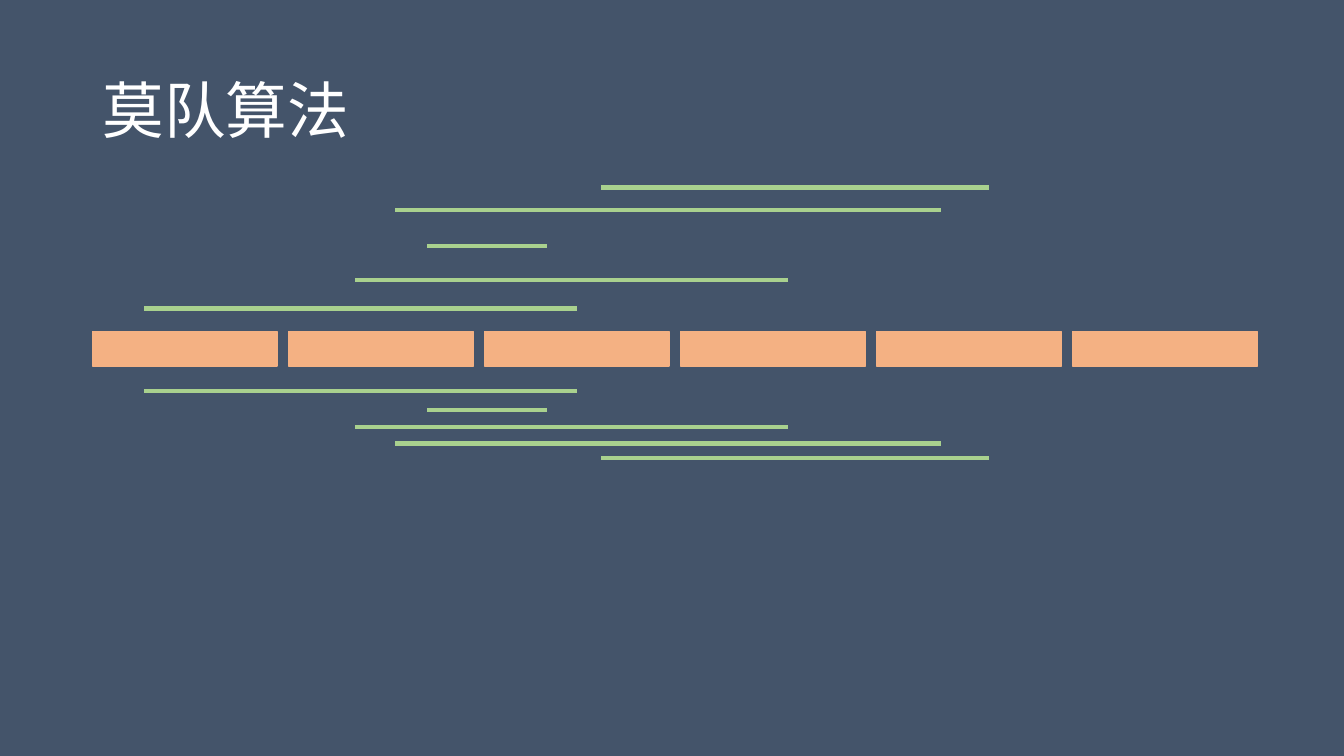
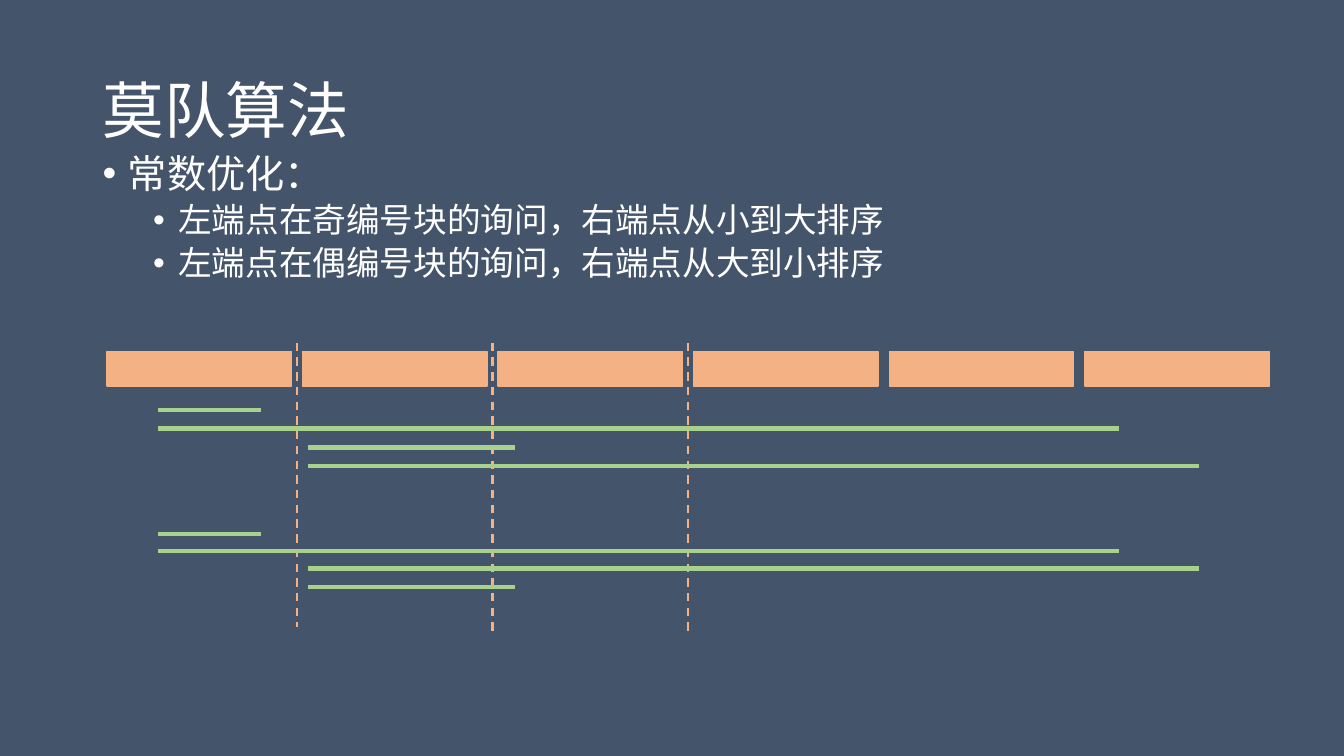
from lxml import etree
from pptx import Presentation
from pptx.dml.color import RGBColor
from pptx.enum.dml import MSO_LINE
from pptx.enum.lang import MSO_LANGUAGE_ID
from pptx.enum.shapes import MSO_CONNECTOR, MSO_SHAPE
from pptx.enum.text import MSO_ANCHOR
from pptx.oxml.ns import qn
from pptx.util import Pt

PX = 9144
SLIDE_SIZE = (1333, 750)
BLANK_LAYOUT = 6
RECTANGLE = MSO_SHAPE.RECTANGLE
STRAIGHT = MSO_CONNECTOR.STRAIGHT
DASH = MSO_LINE.DASH
TOP, MIDDLE = MSO_ANCHOR.TOP, MSO_ANCHOR.MIDDLE
CHINESE = MSO_LANGUAGE_ID.SIMPLIFIED_CHINESE

COLORS = {
    "background": "44546A",
    "text": "FFFFFF",
    "block": "F4B183",
    "query": "A9D18E",
}
QUERY_LINE = {"width": Pt(3)}
DIVIDER_LINE = {"width": Pt(1.5), "dash_style": DASH}
TITLE_FONT = {"name": "Calibri", "size": Pt(44), "language_id": CHINESE}
POINT_FONTS = [TITLE_FONT | {"size": Pt(28)}, TITLE_FONT | {"size": Pt(24)}]
POINT_SPACING = [
    {"level": 0, "line_spacing": 0.9, "space_before": Pt(10)},
    {"level": 1, "line_spacing": 0.9, "space_before": Pt(5)},
]

TITLE = "莫队算法"
TITLE_BOX = (92, 40, 1150, 145)
POINTS_BOX = (92, 148, 1131, 405)
POINTS = [
    (0, "常数优化："),
    (1, "左端点在奇编号块的询问，右端点从小到大排序"),
    (1, "左端点在偶编号块的询问，右端点从大到小排序"),
]

BLOCK_COUNT = 6
BLOCK_WIDTH, BLOCK_HEIGHT = 183, 34
SORTING_BOX = (92, 186, 1155, 268)
SORTING_BLOCKS_TOP = 143
SORTING_QUERIES = [
    (51, 480, (120, 202)),
    (332, 451, (58, 221)),
    (260, 690, (92, 238)),
    (300, 841, (22, 254)),
    (504, 889, (0, 268)),
]
PARITY_BOX = (106, 340, 1153, 288)
PARITY_BLOCKS_TOP = 9
PARITY_QUERIES = [
    (51, 153, (67, 190)),
    (51, 1004, (85, 207)),
    (199, 405, (104, 242)),
    (199, 1083, (122, 224)),
]
PARITY_DIVIDER_HEIGHTS = (282, 288, 288)


def emu(*lengths):
    """Turn px lengths into EMU."""
    return [round(length * PX) for length in lengths]


def apply_format(target, values):
    """Set each format value on the target."""
    for name, value in values.items():
        setattr(target, name, value)


def paint(fill, color):
    """Give a fill one solid named colour."""
    fill.solid()
    fill.fore_color.rgb = RGBColor.from_string(COLORS[color])


def add_text_frame(slide, box, anchor):
    """Add a wrapping text box and return its frame."""
    frame = slide.shapes.add_textbox(*emu(*box)).text_frame
    apply_format(frame, {"word_wrap": True, "vertical_anchor": anchor})
    return frame


def write(paragraph, text, font, spacing):
    """Write one white run into a paragraph."""
    apply_format(paragraph, spacing)
    run = paragraph.add_run()
    run.text = text
    apply_format(run.font, font)
    paint(run.font.fill, "text")


def add_title(slide, box):
    """Place the slide title in its box."""
    frame = add_text_frame(slide, box, MIDDLE)
    write(frame.paragraphs[0], TITLE, TITLE_FONT, {"line_spacing": 0.9})


def add_bullet(paragraph, level):
    """Give a paragraph a hanging bullet for its level."""
    properties = paragraph._p.get_or_add_pPr()
    properties.set("marL", str(emu(25 + 50 * level)[0]))
    properties.set("indent", str(emu(-25)[0]))
    etree.SubElement(properties, qn("a:buFont")).set("typeface", "Arial")
    etree.SubElement(properties, qn("a:buChar")).set("char", "•")


def add_points(slide, box):
    """Place the bulleted points in their box."""
    frame = add_text_frame(slide, box, TOP)
    for index, (level, text) in enumerate(POINTS):
        point = frame.add_paragraph() if index else frame.paragraphs[0]
        write(point, text, POINT_FONTS[level], POINT_SPACING[level])
        add_bullet(point, level)


def add_line(slide, start, end, color, values):
    """Draw a straight line without a shadow."""
    connector = slide.shapes.add_connector(STRAIGHT, *emu(*start, *end))
    etree.SubElement(connector._element.spPr, qn("a:effectLst"))
    paint(connector.line.fill, color)
    apply_format(connector.line, values)


def add_block_diagram(slide, box, blocks_top, queries, divider_heights=()):
    """Draw the row of blocks, the gap dividers and the query intervals."""
    left, top, width, _ = box
    pitch = (width - BLOCK_WIDTH) / (BLOCK_COUNT - 1)
    for index in range(BLOCK_COUNT):
        bounds = (left + index * pitch, top + blocks_top, BLOCK_WIDTH, BLOCK_HEIGHT)
        block = slide.shapes.add_shape(RECTANGLE, *emu(*bounds))
        block.shadow.inherit = False
        paint(block.fill, "block")
        paint(block.line.fill, "block")
        block.line.width = Pt(1)
    for index, height in enumerate(divider_heights):
        x = left + index * pitch + (BLOCK_WIDTH + pitch) / 2
        add_line(slide, (x, top), (x, top + height), "block", DIVIDER_LINE)
    for start, end, rows in queries:
        for row in rows:
            y = top + row
            add_line(slide, (left + start, y), (left + end, y), "query", QUERY_LINE)


def add_titled_slide(deck):
    """Add a slide with the shared background and title."""
    slide = deck.slides.add_slide(deck.slide_layouts[BLANK_LAYOUT])
    paint(slide.background.fill, "background")
    add_title(slide, TITLE_BOX)
    return slide


def add_sorting_slide(deck):
    """Show the queries before and after sorting by block."""
    slide = add_titled_slide(deck)
    add_block_diagram(slide, SORTING_BOX, SORTING_BLOCKS_TOP, SORTING_QUERIES)


def add_parity_slide(deck):
    """Show the constant-factor optimisation by block parity."""
    slide = add_titled_slide(deck)
    add_points(slide, POINTS_BOX)
    add_block_diagram(slide, PARITY_BOX, PARITY_BLOCKS_TOP, PARITY_QUERIES,
                      PARITY_DIVIDER_HEIGHTS)


def main():
    """Build and save the deck."""
    deck = Presentation()
    deck.slide_width, deck.slide_height = emu(*SLIDE_SIZE)
    add_sorting_slide(deck)
    add_parity_slide(deck)
    deck.save("out.pptx")


if __name__ == "__main__":
    main()
